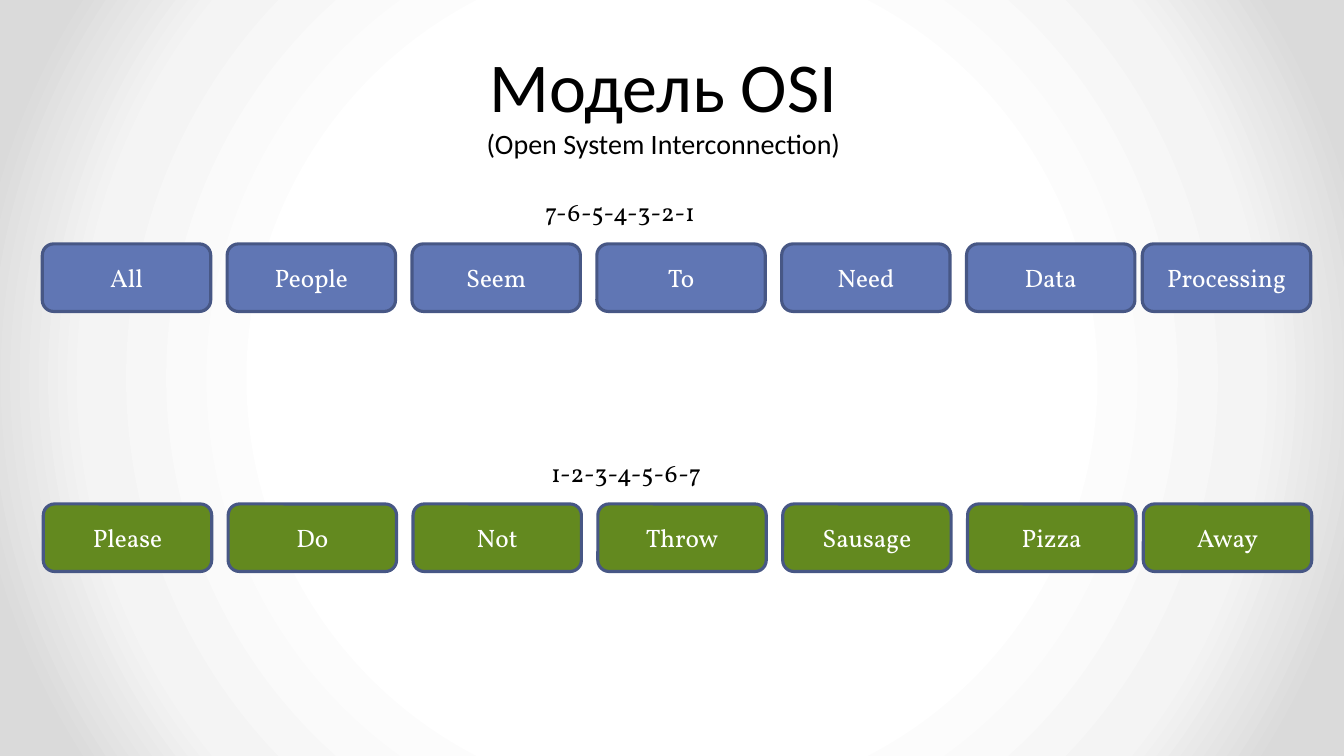
from lxml.etree import SubElement
from pptx import Presentation
from pptx.dml.color import RGBColor
from pptx.enum.shapes import MSO_SHAPE
from pptx.enum.text import MSO_ANCHOR, PP_ALIGN
from pptx.oxml.ns import qn
from pptx.util import Inches, Pt

COLORS = {
    "text": "000000",
    "box_text": "FFFFFF",
    "border": "475785",
    "blue": "6076B4",
    "green": "63891F",
}
BACKGROUND_STOPS = [(50, "FFFFFF"), (76, "F4F4F4"), (92, "DADADA")]
BOX_WIDTH, BOX_HEIGHT = 1.67, 0.67
BOX_PITCH = 11 / 6
LAST_BOX_OFFSET = 10.91  # the last box stands closer to its neighbour

# numbers, their left and top, words, left and top of the row, fill
MNEMONICS = [
    ("7-6-5-4-3-2-1", 4.61, 1.9,
     ["All", "People", "Seem", "To", "Need", "Data", "Processing"],
     0.42, 2.42, "blue"),
    ("1-2-3-4-5-6-7", 4.67, 4.49,
     ["Please", "Do", "Not", "Throw", "Sausage", "Pizza", "Away"],
     0.43, 5, "green"),
]


class SlideBuilder:
    body_font = "Vollkorn"
    title_font = "Calibri"
    body_size = 18

    def __init__(self, presentation):
        self.slide = presentation.slides.add_slide(presentation.slide_layouts[6])

    def radial_background(self, stops):
        self.slide.background.fill.gradient()
        gradient = self.slide.element.find(".//" + qn("a:gradFill"))
        for child in list(gradient):
            gradient.remove(child)
        stop_list = SubElement(gradient, qn("a:gsLst"))
        for position, color in stops:
            stop = SubElement(stop_list, qn("a:gs"), pos=str(position * 1000))
            SubElement(stop, qn("a:srgbClr"), val=color)
        circle = SubElement(gradient, qn("a:path"), {"path": "circle"})
        SubElement(circle, qn("a:fillToRect"),
                   {side: "50000" for side in "ltrb"})

    def add_run(self, paragraph, text, size, font, color):
        run = paragraph.add_run()
        run.text = text
        run.font.size = Pt(size)
        run.font.name = font
        run.font.color.rgb = RGBColor.from_string(COLORS[color])

    def text_box(self, left, top, width, height):
        """Add an empty wrapping text box and return its text frame."""
        shape = self.slide.shapes.add_textbox(
            Inches(left), Inches(top), Inches(width), Inches(height))
        shape.text_frame.word_wrap = True
        shape.text_frame.paragraphs[0].alignment = PP_ALIGN.CENTER
        return shape.text_frame

    def title(self, heading, subheading):
        frame = self.text_box(0.58, 0.41, 12, 1.18)
        frame.vertical_anchor = MSO_ANCHOR.BOTTOM
        frame.margin_left = frame.margin_right = 0
        frame.margin_top = frame.margin_bottom = 0
        paragraph = frame.paragraphs[0]
        self.add_run(paragraph, heading, 50, self.title_font, "text")
        paragraph.add_line_break()
        self.add_run(paragraph, subheading, 20, self.title_font, "text")

    def caption(self, text, left, top):
        frame = self.text_box(left, top, 3.08, 0.42)
        self.add_run(frame.paragraphs[0], text, self.body_size,
                     self.body_font, "text")

    def word_box(self, word, left, top, fill):
        shape = self.slide.shapes.add_shape(
            MSO_SHAPE.ROUNDED_RECTANGLE, Inches(left), Inches(top),
            Inches(BOX_WIDTH), Inches(BOX_HEIGHT))
        shape.shadow.inherit = False
        shape.fill.solid()
        shape.fill.fore_color.rgb = RGBColor.from_string(COLORS[fill])
        shape.line.color.rgb = RGBColor.from_string(COLORS["border"])
        shape.line.width = Pt(2.25)
        shape.text_frame.vertical_anchor = MSO_ANCHOR.MIDDLE
        paragraph = shape.text_frame.paragraphs[0]
        paragraph.alignment = PP_ALIGN.CENTER
        self.add_run(paragraph, word, self.body_size, self.body_font, "box_text")

    def word_row(self, words, left, top, fill):
        for index, word in enumerate(words):
            offset = min(index * BOX_PITCH, LAST_BOX_OFFSET)
            self.word_box(word, left + offset, top, fill)


def main():
    presentation = Presentation()
    presentation.slide_width = Inches(13.33)
    presentation.slide_height = Inches(7.5)
    builder = SlideBuilder(presentation)
    builder.radial_background(BACKGROUND_STOPS)
    builder.title("Модель OSI", "(Open System Interconnection)")
    for numbers, caption_left, caption_top, words, left, top, fill in MNEMONICS:
        builder.word_row(words, left, top, fill)
        builder.caption(numbers, caption_left, caption_top)
    presentation.save("out.pptx")


if __name__ == "__main__":
    main()
